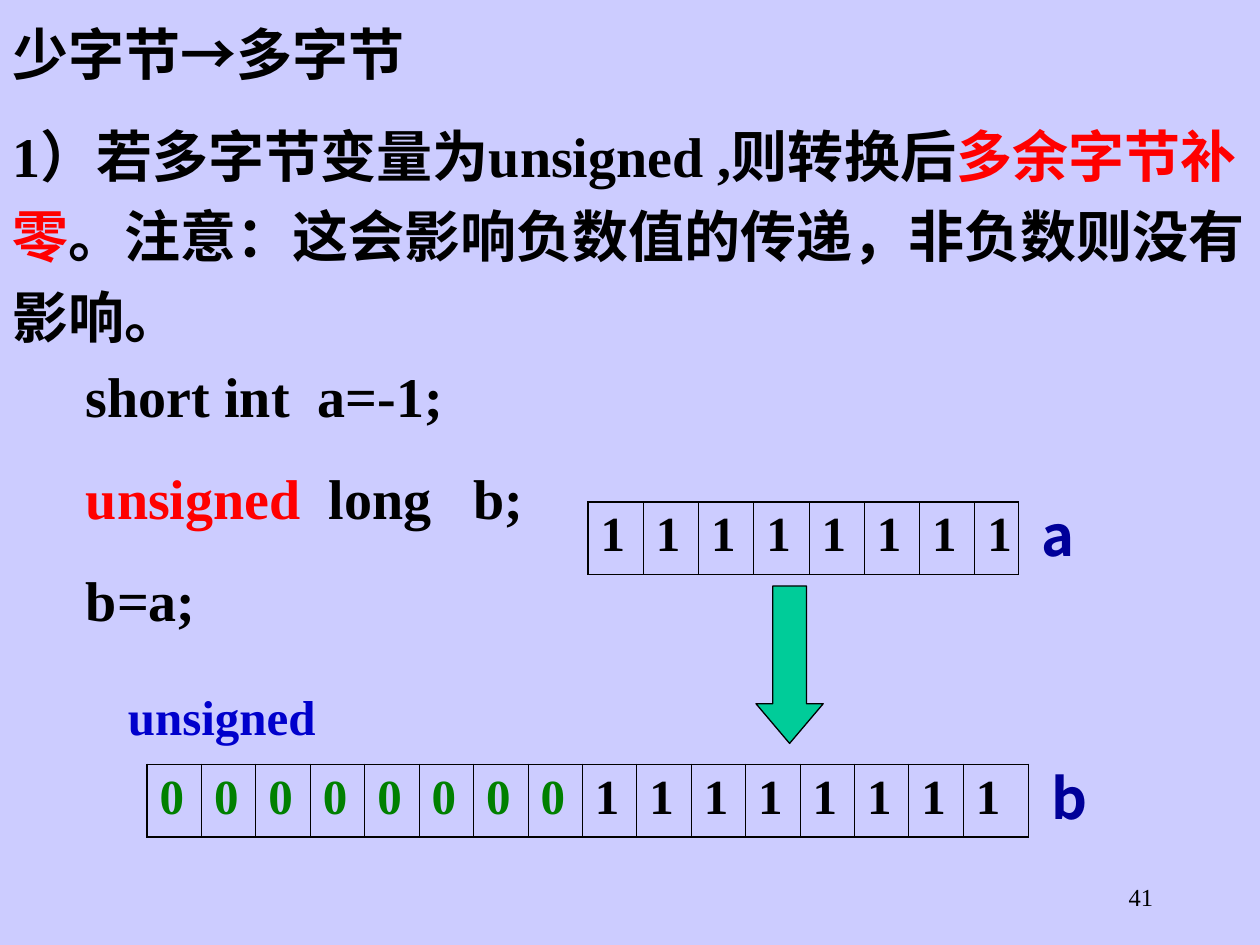
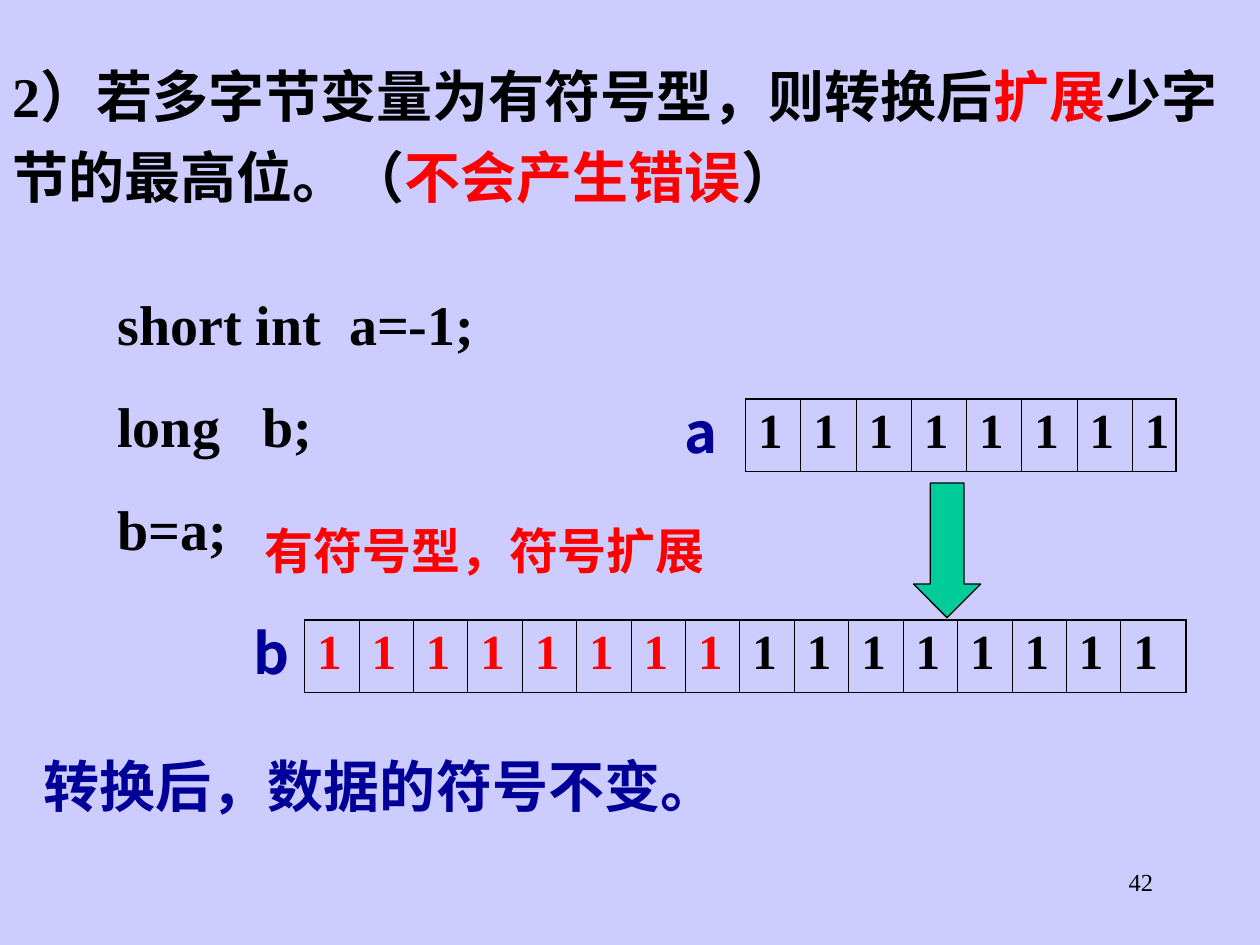
from pptx import Presentation
from pptx import util as u
from pptx.dml.color import RGBColor
from pptx.enum import shapes, text
from pptx.oxml.ns import qn
from lxml import etree

Pt = u.Pt
BLACK, RED, GREEN, BLUE, NAVY = "000000", "FF0000", "008000", "0000CC", "000099"
BACKGROUND, ARROW_FILL = "CCCCFF", "00CC99"
SERIF, SANS, CJK = "Times New Roman", "Arial", "Noto Sans CJK SC"
BODY = dict(size=Pt(32), bold=True, name=SERIF)
SMALL = dict(BODY, size=Pt(28))
LABEL = dict(BODY, name=CJK)
NUMBER = dict(size=Pt(14), bold=False, name=SERIF)
ROW_H, EDGE, INNER = 41.5, 1.08, 0.45


def rgb(value):
    return RGBColor.from_string(value)


def set_all(target, values):
    for name, value in values.items():
        setattr(target, name, value)


def add_runs(p, runs, style):
    """Each run is (text, colour) or (text, colour, font name)."""
    for words, color, *font in runs:
        r = p.add_run()
        r.text = words
        set_all(r.font, dict(style, name=font[0]) if font else style)
        r.font.color.rgb = rgb(color)
        etree.SubElement(r._r.get_or_add_rPr(), qn("a:ea"), typeface=CJK)


def add_text(s, box, paragraphs, style, gap=0, grow=True, **layout):
    tf = s.shapes.add_textbox(*map(Pt, box)).text_frame
    tf.word_wrap = True
    if grow:
        tf.auto_size = text.MSO_AUTO_SIZE.SHAPE_TO_FIT_TEXT
    for i, runs in enumerate(paragraphs):
        p = tf.add_paragraph() if i else tf.paragraphs[0]
        set_all(p, layout)
        if i:
            p.space_before = Pt(gap)
        add_runs(p, runs, style)


def add_borders(cell, widths):
    tcPr = cell._tc.get_or_add_tcPr()
    for i, (side, width) in enumerate(zip("LRTB", widths)):
        ln = etree.Element(qn("a:ln" + side), w=str(int(Pt(width))))
        fill = etree.SubElement(ln, qn("a:solidFill"))
        etree.SubElement(fill, qn("a:srgbClr"), val=BLACK)
        tcPr.insert(i, ln)


def bit_row(s, x, y, width, cell_w, bits):
    """One row of bits; the last cell takes the remaining width."""
    last = len(bits) - 1
    table = s.shapes.add_table(1, len(bits), *map(Pt, (x, y, width, ROW_H))).table
    set_all(table, dict(first_row=False, horz_banding=False))
    for i, bit in enumerate(bits):
        table.columns[i].width = Pt(width - last * cell_w if i == last else cell_w)
        cell = table.cell(0, i)
        cell.fill.background()
        add_borders(cell, (INNER if i else EDGE, EDGE if i == last else INNER, EDGE, EDGE))
        add_runs(cell.text_frame.paragraphs[0], [bit], SMALL)


def down_arrow(s, box, head):
    sp = s.shapes.add_shape(shapes.MSO_SHAPE.DOWN_ARROW, *map(Pt, box))
    sp.shadow.inherit = False
    sp.adjustments[1] = head
    sp.fill.solid()
    sp.fill.fore_color.rgb = rgb(ARROW_FILL)
    sp.line.color.rgb = rgb(BLACK)
    sp.line.width = Pt(0.75)


def widening(s, box, high_bit, label_dx, arrow_h, head):
    """Byte a on top, an arrow, and the wider b along the bottom of the box."""
    x, y, w, h = box
    a_x, b_y = x + w / 2, y + h - ROW_H
    low_byte = [("1", BLACK)] * 8
    bit_row(s, x, b_y, w, 31.12, [high_bit] * 8 + low_byte)
    bit_row(s, a_x, y, 246.2, 31.6, low_byte)
    down_arrow(s, (a_x + 96, y + 48, 38.4, arrow_h), head)
    for name, left, top, dx in zip("ab", (a_x, x), (y, b_y), label_dx):
        add_text(s, (left + dx, top - 12, 30, 53), [[(name, NAVY)]], LABEL,
                 alignment=text.PP_ALIGN.CENTER, line_spacing=1.2)


def new_slide(prs, number, number_y):
    s = prs.slides.add_slide(prs.slide_layouts[6])
    s.background.fill.solid()
    s.background.fill.fore_color.rgb = rgb(BACKGROUND)
    add_text(s, (516, number_y, 150, 36), [[(number, BLACK)]], NUMBER,
             grow=False, alignment=text.PP_ALIGN.RIGHT)
    return s


def unsigned_slide(prs):
    s = new_slide(prs, "41", 500.4)
    # Rule
    add_text(s, (0, 0, 720, 204), [
        [("少字节", BLACK), ("→", BLACK, SANS), ("多字节", BLACK)],
        [("1）若多字节变量为unsigned ,则转换后", BLACK), ("多余字节补零", RED),
         ("。注意：这会影响负数值的传递，非负数则没有影响。", BLACK)],
    ], BODY, gap=12, line_spacing=1.2)
    # Bits filled with zeros
    widening(s, (84, 286.8, 504, 191.5), ("0", GREEN), (252, 510), 90, 0.59)
    add_text(s, (66, 389, 240, 41), [[("unsigned", BLUE)]], SMALL)
    # Code
    add_text(s, (42, 203, 270, 163), [
        [("short int  a=-1;", BLACK)],
        [("unsigned", RED), ("  long   b;", BLACK)],
        [("b=a;", BLACK)],
    ], BODY, gap=20)


def signed_slide(prs):
    s = new_slide(prs, "42", 491.8)
    # Bits filled with the sign
    widening(s, (174, 228, 504, 167.7), ("1", RED), (-42, -36), 77, 0.5)
    add_text(s, (144, 294, 300, 41), [[("有符号型，符号扩展", RED)]], SMALL)
    # Code
    add_text(s, (60, 162, 258, 163), [
        [(line, BLACK)] for line in ("short int  a=-1;", "long   b;", "b=a;")
    ], BODY, gap=20)
    # Rule and conclusion
    add_text(s, (0, 24, 720, 99), [[
        ("2）若多字节变量为有符号型，则转换后", BLACK), ("扩展", RED),
        ("少字节的最高位。（", BLACK), ("不会产生错误", RED), ("）", BLACK),
    ]], BODY, line_spacing=1.2)
    add_text(s, (18, 426, 684, 46), [[("转换后，数据的符号不变。", NAVY)]], BODY)


def main():
    prs = Presentation()
    prs.slide_width, prs.slide_height = Pt(720), Pt(540)
    unsigned_slide(prs)
    signed_slide(prs)
    prs.save("out.pptx")


if __name__ == "__main__":
    main()
